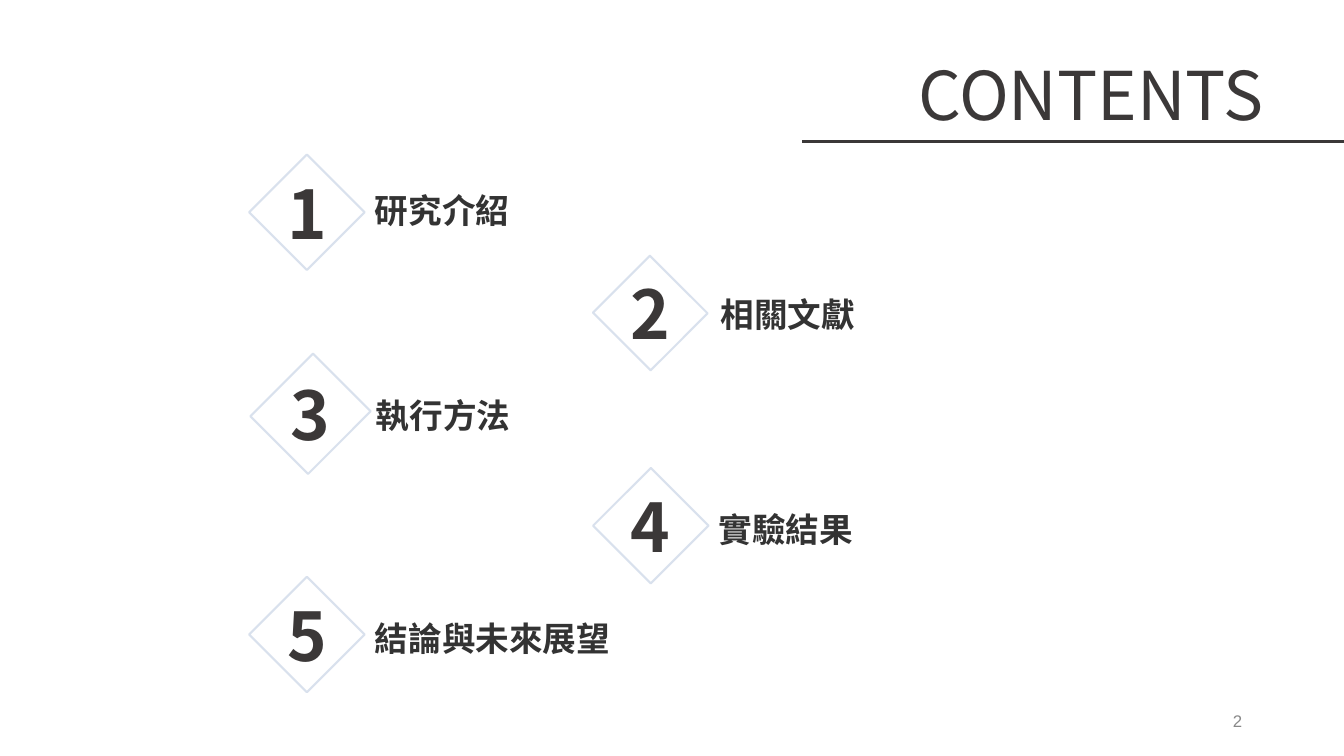
from lxml import etree
from pptx import Presentation, util as u
from pptx.dml.color import RGBColor
from pptx.enum import shapes, text
from pptx.oxml.ns import qn

INK, BODY, EDGE, GREY = "3B3838", "333333", "B6C6DD", "888888"
SANS, SERIF, PLAIN = "Noto Sans CJK SC", "Cambria", "Arial"
LEFT, MID, RIGHT = text.PP_ALIGN.LEFT, text.PP_ALIGN.CENTER, text.PP_ALIGN.RIGHT

ITEMS = [
    ("研究介紹", 22.84, 28.07, 6.08, 27.16, 24.4, 22.9),
    ("相關文獻", 48.39, 41.4, 6, 52.89, 38.27, 23.6),
    ("執行方法", 23.11, 54.73, 6.6, 27.23, 51.6, 24.8),
    ("實驗結果", 48.43, 69.53, 6.08, 52.74, 66.67, 22.9),
    ("結論與未來展望", 22.84, 83.93, 6.08, 27.16, 81.07, 22.9),
]


def tint(code):
    return RGBColor.from_string(code)


class Deck:
    def __init__(self):
        self.show = Presentation()
        self.show.slide_width = u.Inches(13.33)
        self.show.slide_height = u.Inches(7.5)
        self.page = self.show.slides.add_slide(self.show.slide_layouts[6])

    def across(self, share):
        return round(self.show.slide_width * share / 100)

    def down(self, share):
        return round(self.show.slide_height * share / 100)

    def box(self, x, y, w, h):
        return self.across(x), self.down(y), self.across(w), self.down(h)

    def letter(self, shape, words, size, font, color, align, bold=False):
        frame = shape.text_frame
        frame.word_wrap = True
        frame.text = words
        para = frame.paragraphs[0]
        para.alignment = align
        run = para.runs[0]
        run.font.size = u.Pt(size)
        run.font.name = font
        run.font.bold = bold
        run.font.color.rgb = tint(color)
        east = etree.SubElement(run.font._element, qn("a:ea"))
        east.set("typeface", SANS)
        return frame

    def label(self, area, *style):
        shape = self.page.shapes.add_textbox(*self.box(*area))
        return self.letter(shape, *style)

    def shape(self, kind, x, y, w, h):
        shape = self.page.shapes.add_shape(
            kind, *self.box(x - w / 2, y - h / 2, w, h))
        shape.shadow.inherit = False
        shape.fill.background()
        shape.line.fill.background()
        return shape

    def diamond(self, x, y, side):
        shape = self.shape(shapes.MSO_SHAPE.RECTANGLE, x, y, side, 10.8)
        shape.rotation = 315
        shape.line.color.rgb = tint(EDGE)
        shape.line.width = u.Pt(1.5)
        color = shape.line._ln.find(".//" + qn("a:srgbClr"))
        etree.SubElement(color, qn("a:alpha")).set("val", "51000")

    def number(self, num, x, y, side):
        shape = self.shape(shapes.MSO_SHAPE.OVAL, x, y, side * 1.235, 13.33)
        frame = self.letter(shape, str(num), 48, SANS, INK, MID, True)
        frame.vertical_anchor = text.MSO_ANCHOR.MIDDLE

    def item(self, num, words, x, y, side, left, top, width):
        self.diamond(x, y, side)
        self.number(num, x, y, side)
        frame = self.label((left, top, width, 6.67), words, 24, SERIF, BODY, LEFT, True)
        frame.auto_size = text.MSO_AUTO_SIZE.SHAPE_TO_FIT_TEXT

    def rule(self, start, end, y):
        line = self.page.shapes.add_connector(
            shapes.MSO_CONNECTOR.STRAIGHT,
            self.across(start), self.down(y), self.across(end), self.down(y))
        line.line.color.rgb = tint(INK)
        line.line.width = u.Pt(2)
        etree.SubElement(line._element.spPr, qn("a:effectLst"))


def main():
    deck = Deck()
    deck.label((58.44, 6.4, 45.46, 12.13), "CONTENTS", 48, SANS, INK, MID)
    deck.rule(59.7, 101.7, 18.67)
    for num, item in enumerate(ITEMS, 1):
        deck.item(num, *item)
    foot = deck.label((70.67, 92.67, 22.5, 5.33), "2", 12, PLAIN, GREY, RIGHT)
    foot.vertical_anchor = text.MSO_ANCHOR.MIDDLE
    deck.show.save("out.pptx")


if __name__ == "__main__":
    main()
